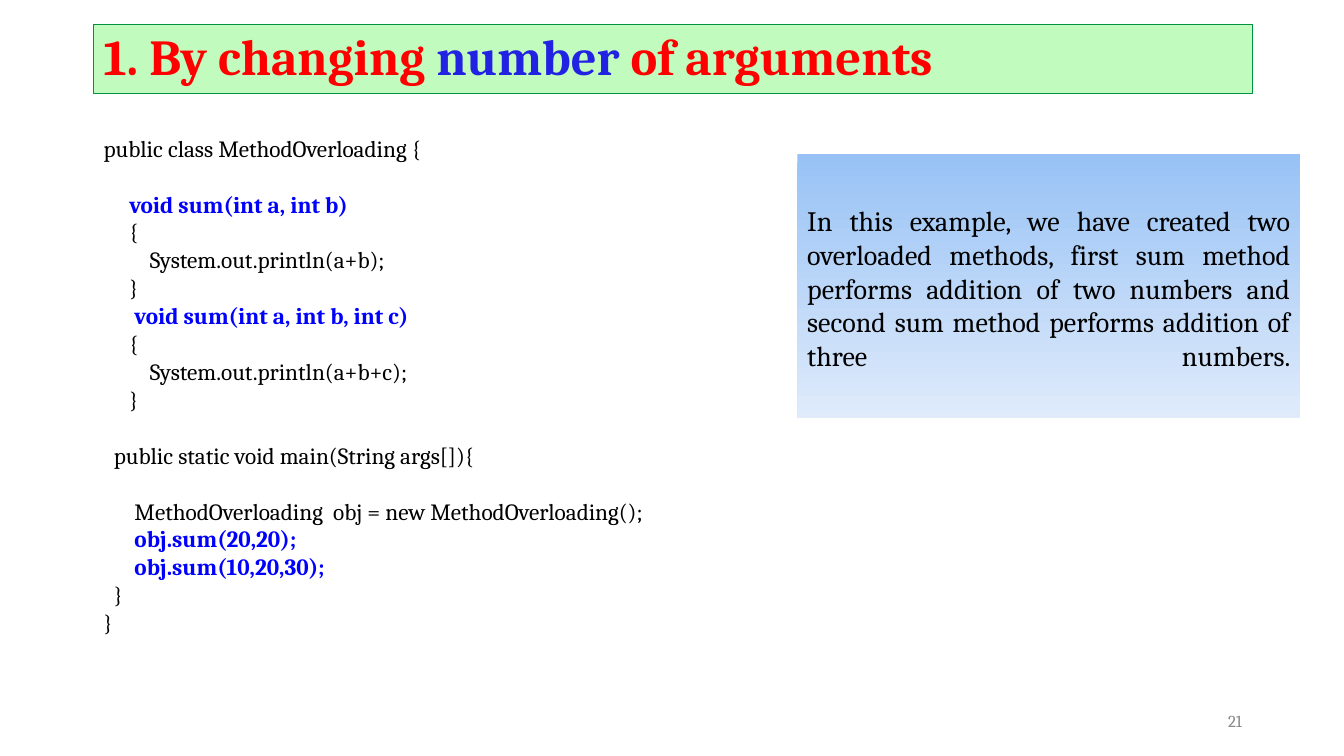
from pptx import Presentation
from pptx.dml.color import RGBColor
from pptx.enum.shapes import MSO_SHAPE
from pptx.enum.text import MSO_ANCHOR, PP_ALIGN
from pptx.util import Pt

RECTANGLE = MSO_SHAPE.RECTANGLE
TOP, MIDDLE = MSO_ANCHOR.TOP, MSO_ANCHOR.MIDDLE
LEFT, RIGHT, JUSTIFY = PP_ALIGN.LEFT, PP_ALIGN.RIGHT, PP_ALIGN.JUSTIFY

BLACK = RGBColor(0x00, 0x00, 0x00)
RED = RGBColor(0xFF, 0x00, 0x00)
TITLE_BLUE = RGBColor(0x22, 0x22, 0xE2)
CODE_BLUE = RGBColor(0x00, 0x00, 0xFF)
GREY = RGBColor(0x88, 0x88, 0x88)
PALE_GREEN = RGBColor(0xC1, 0xFB, 0xBD)
GREEN = RGBColor(0x00, 0x92, 0x42)
NOTE_TOP = RGBColor(0x98, 0xC2, 0xF5)
NOTE_BOTTOM = RGBColor(0xDF, 0xEB, 0xFB)

# Content
TITLE = [("1. By changing ", RED), ("number", TITLE_BLUE), (" of arguments", RED)]
# Each code line: indent in characters, text, highlighted, gap above
CODE = [
    (0, "public class MethodOverloading {", False, False),
    (5, "void sum(int a, int b)", True, True),
    (5, "{", False, False),
    (9, "System.out.println(a+b);", False, False),
    (5, "}", False, False),
    (6, "void sum(int a, int b, int c)", True, False),
    (5, "{", False, False),
    (9, "System.out.println(a+b+c);", False, False),
    (5, "}", False, False),
    (2, "public static void main(String args[]){", False, True),
    (6, "MethodOverloading  obj = new MethodOverloading();", False, True),
    (6, "obj.sum(20,20);", True, False),
    (6, "obj.sum(10,20,30);", True, False),
    (2, "}", False, False),
    (0, "}", False, False),
]
NOTE = ("In this example, we have created two overloaded methods, first sum "
        "method performs addition of two numbers and second sum method "
        "performs addition of three numbers.")
PAGE_NUMBER = "21"

# Layout in points
FONT = "Cambria"
CODE_SIZE = 16.6
CODE_LINE = 19.95
CODE_INDENT = 3.67
NOTE_LINE = 24
INSET_X, INSET_Y = 7.2, 3.6
TITLE_BOX = (66.96, 17.28, 828, 49.68)
CODE_BOX = (66.96, 92.16, 871.92, 447.84)
NOTE_BOX = (569.52, 110.16, 359.28, 188.64)
NUMBER_BOX = (678.24, 500.4, 216, 28.8)


def add_run(paragraph, text, *, size, color=BLACK, bold=False):
    run = paragraph.add_run()
    run.text = text
    run.font.name = FONT
    run.font.size = Pt(size)
    run.font.bold = bold
    run.font.color.rgb = color
    return run


def prepare_frame(shape, *, anchor=MIDDLE, align=LEFT):
    frame = shape.text_frame
    frame.word_wrap = True
    frame.vertical_anchor = anchor
    frame.margin_left = frame.margin_right = Pt(INSET_X)
    frame.margin_top = frame.margin_bottom = Pt(INSET_Y)
    frame.paragraphs[0].alignment = align
    return frame


def add_box(box):
    shape = slide.shapes.add_shape(RECTANGLE, *map(Pt, box))
    shape.shadow.inherit = False
    return shape


presentation = Presentation()
presentation.slide_width, presentation.slide_height = Pt(960), Pt(540)
slide = presentation.slides.add_slide(presentation.slide_layouts[6])

# Title bar
title_bar = add_box(TITLE_BOX)
title_bar.fill.solid()
title_bar.fill.fore_color.rgb = PALE_GREEN
title_bar.line.color.rgb = GREEN
title_bar.line.width = Pt(0.75)
title = prepare_frame(title_bar).paragraphs[0]
title.line_spacing = 0.9
for text, color in TITLE:
    add_run(title, text, size=36, color=color, bold=True)

# Code listing
code_frame = prepare_frame(slide.shapes.add_textbox(*map(Pt, CODE_BOX)), anchor=TOP)
for index, (indent, text, highlighted, gap) in enumerate(CODE):
    paragraph = code_frame.add_paragraph() if index else code_frame.paragraphs[0]
    paragraph.space_before = Pt(CODE_LINE if gap else 0)
    paragraph._p.get_or_add_pPr().set("marL", str(Pt(indent * CODE_INDENT)))
    add_run(paragraph, text, size=CODE_SIZE,
            color=CODE_BLUE if highlighted else BLACK, bold=highlighted)

# Explanation with a top-to-bottom gradient
note_box = add_box(NOTE_BOX)
note_box.line.fill.background()
note_box.fill.gradient()
note_box.fill.gradient_angle = 270
for stop, position, color in zip(note_box.fill.gradient_stops, (0, 1), (NOTE_TOP, NOTE_BOTTOM)):
    stop.position = position
    stop.color.rgb = color
note_frame = prepare_frame(note_box, align=JUSTIFY)
note = note_frame.paragraphs[0]
add_run(note, NOTE, size=20)
# The closing break stretches the last line; the top inset balances its height
note.add_line_break()
add_run(note, "", size=20)
note_frame.margin_top = Pt(INSET_Y + NOTE_LINE)

# Page number
number_frame = prepare_frame(slide.shapes.add_textbox(*map(Pt, NUMBER_BOX)), align=RIGHT)
add_run(number_frame.paragraphs[0], PAGE_NUMBER, size=12, color=GREY)

presentation.save("out.pptx")
